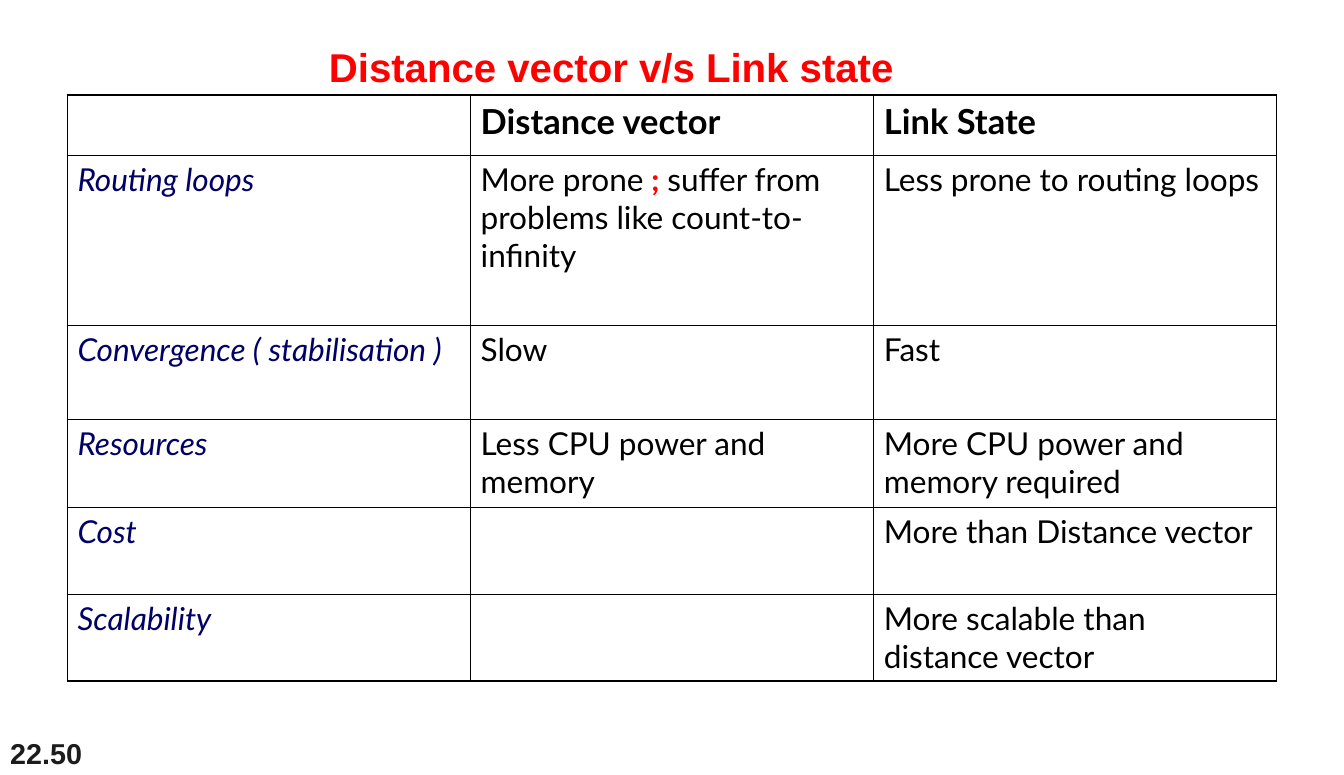
from dataclasses import dataclass

from lxml.etree import SubElement
from pptx import Presentation
from pptx.dml.color import RGBColor
from pptx.enum.text import MSO_ANCHOR, MSO_AUTO_SIZE, PP_ALIGN
from pptx.oxml.ns import qn
from pptx.util import Pt

BLACK = RGBColor(0, 0, 0)
NAVY = RGBColor(0, 0, 0x66)
RED = RGBColor(0xFF, 0, 0)
GREY = RGBColor(0x1C, 0x1C, 0x1C)
THIN, THICK = 0.45, 1.08


@dataclass
class Style:
    size: float
    color: RGBColor
    font: str = "Lato"
    bold: bool = False
    italic: bool = False


@dataclass
class Row:
    height: float
    topic: str
    vector: str
    link: str


HEAD = Style(24, BLACK, bold=True)
TOPIC = Style(22, NAVY, italic=True)
BODY = Style(22, BLACK)
TITLE = Style(28, RED, "Arial", bold=True)
PAGE = Style(20, GREY, "Arial", bold=True)
MARK = " ; "  # set in bold red inside a cell

ROWS = [
    Row(41.8, "", "Distance vector", "Link State"),
    Row(118.8, "Routing loops",
        "More prone ; suffer from problems like count-to-infinity",
        "Less prone to routing loops"),
    Row(65.5, "Convergence ( stabilisation )", "Slow", "Fast"),
    Row(61.2, "Resources", "Less CPU power and memory",
        "More CPU power and memory required"),
    Row(60.5, "Cost", "", "More than Distance vector"),
    Row(60.5, "Scalability", "", "More scalable than distance vector"),
]


def format_font(font, style: Style) -> None:
    font.size = Pt(style.size)
    font.name = style.font
    font.bold = style.bold
    font.italic = style.italic
    font.color.rgb = style.color


def fill_text(frame, text: str, style: Style) -> None:
    frame.word_wrap = True
    para = frame.paragraphs[0]
    format_font(para.font, style)
    start, mark, rest = text.partition(MARK)
    for part in filter(None, (start, mark, rest)):
        run = para.add_run()
        run.text = part
        if part == MARK:
            run.font.bold = True
            run.font.color.rgb = RED


def add_border(cell, side: str, width: float) -> None:
    line = SubElement(cell._tc.get_or_add_tcPr(), qn(f"a:ln{side}"),
                      w=str(Pt(width)))
    fill = SubElement(line, qn("a:solidFill"))
    SubElement(fill, qn("a:srgbClr"), val=str(BLACK))


def add_grid(slide, rows: list[Row]) -> None:
    count, wide = len(rows), 280.8
    frame = slide.shapes.add_table(count, 3, Pt(46.8), Pt(66.2), Pt(3 * wide),
                                   Pt(sum(row.height for row in rows)))
    table = frame.table
    table.first_row = table.horz_banding = False
    for column in table.columns:
        column.width = Pt(wide)
    for r, row in enumerate(rows):
        table.rows[r].height = Pt(row.height)
        for c, text in enumerate((row.topic, row.vector, row.link)):
            cell = table.cell(r, c)
            style = HEAD if r == 0 else TOPIC if c == 0 else BODY
            fill_text(cell.text_frame, text, style)
            # Outer edges are thicker than the inner lines
            edges = {"L": c == 0, "R": c == 2, "T": r == 0, "B": r == count - 1}
            for side, outer in edges.items():
                add_border(cell, side, THICK if outer else THIN)
            cell.fill.background()


def main() -> None:
    deck = Presentation()
    deck.slide_width, deck.slide_height = Pt(936), Pt(540)
    slide = deck.slides.add_slide(deck.slide_layouts[5])

    # Title
    title = slide.shapes.title
    title.left, title.top = Pt(70.6), Pt(23.8)
    title.width, title.height = Pt(717.8), Pt(41)
    frame = title.text_frame
    frame.auto_size = MSO_AUTO_SIZE.NONE
    frame.vertical_anchor = MSO_ANCHOR.BOTTOM
    frame.margin_bottom = Pt(1.8)
    fill_text(frame, "Distance vector v/s Link state ", TITLE)
    frame.paragraphs[0].alignment = PP_ALIGN.CENTER

    # Comparison table
    add_grid(slide, ROWS)

    # Page number
    page = slide.shapes.add_textbox(Pt(0), Pt(504), Pt(195), Pt(36))
    page.text_frame.vertical_anchor = MSO_ANCHOR.BOTTOM
    fill_text(page.text_frame, "22.50", PAGE)

    deck.save("out.pptx")


if __name__ == "__main__":
    main()
